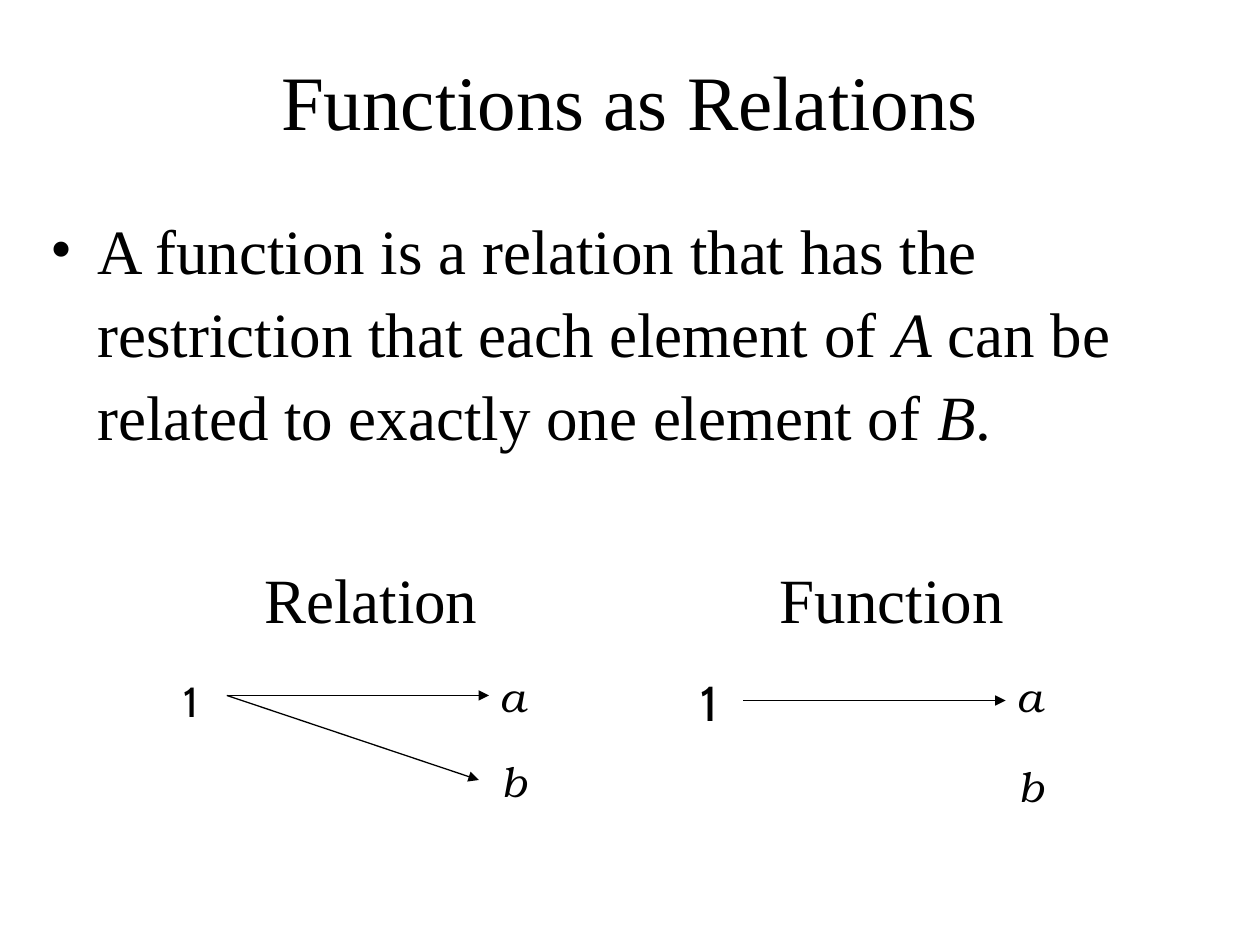
from dataclasses import dataclass

from lxml.etree import SubElement
from pptx import Presentation
from pptx.dml.color import RGBColor
from pptx.enum.shapes import MSO_CONNECTOR as Connector
from pptx.enum.text import MSO_ANCHOR as Anchor, MSO_AUTO_SIZE as AutoSize, PP_ALIGN as Align
from pptx.oxml.ns import qn
from pptx.slide import Slide
from pptx.text.text import _Paragraph as Paragraph
from pptx.util import Pt

BLACK = RGBColor(0x00, 0x00, 0x00)
WHITE = RGBColor(0xFF, 0xFF, 0xFF)
SERIF = "Times New Roman"
DIGIT_FONT = "Cabin"
LETTER_FONT = "TeX Gyre Bonum"


@dataclass
class Label:
    text: str
    left: float
    top: float
    width: float
    height: float
    size: float = 24
    font: str = LETTER_FONT
    italic: bool = False


@dataclass
class Arrow:
    x1: float
    y1: float
    x2: float
    y2: float


@dataclass
class Mapping:
    labels: list[Label]
    arrows: list[Arrow]


MAPPINGS = [
    Mapping(
        [
            Label("Relation", 144, 317, 139, 50.4, 36, SERIF),
            Label("1", 97.9, 382.3, 28.1, 36, 24, DIGIT_FONT),
            Label("a", 278.6, 379.4, 28.8, 36, italic=True),
            Label("b", 279.4, 428, 28.8, 36, italic=True),
        ],
        [Arrow(129.6, 397.4, 279.4, 397.4), Arrow(129.6, 397.4, 273.6, 445.7)],
    ),
    Mapping(
        [
            Label("Function", 438.5, 317, 145, 50.4, 36, SERIF),
            Label("1", 393.1, 380.9, 30.2, 41, 28, DIGIT_FONT),
            Label("a", 573.8, 379.4, 28.8, 36, italic=True),
            Label("b", 574.8, 431, 28.8, 36, italic=True),
        ],
        [Arrow(424.8, 400.3, 574.6, 400.3)],
    ),
]

STATEMENT = [
    ("A function is a relation that has the restriction that each element of ", False),
    ("A", True),
    (" can be related to exactly one element of ", False),
    ("B", True),
    (".", False),
]


def set_font(paragraph: Paragraph, name: str, size: float) -> None:
    paragraph.font.name = name
    paragraph.font.size = Pt(size)
    paragraph.font.color.rgb = BLACK


def add_title(slide: Slide, text: str) -> None:
    title = slide.shapes.title
    title.left, title.top, title.width, title.height = Pt(36), Pt(19), Pt(648), Pt(75.6)
    frame = title.text_frame
    frame.text = text
    frame.vertical_anchor = Anchor.MIDDLE
    frame.paragraphs[0].alignment = Align.CENTER
    set_font(frame.paragraphs[0], SERIF, 44)


def add_statement(slide: Slide) -> None:
    box = slide.shapes.add_textbox(Pt(21.6), Pt(113), Pt(680.4), Pt(369.4))
    box.text_frame.word_wrap = True
    paragraph = box.text_frame.paragraphs[0]
    paragraph.line_spacing = 1.1
    paragraph.space_before = Pt(9)
    set_font(paragraph, SERIF, 36)
    for text, italic in STATEMENT:
        run = paragraph.add_run()
        run.text = text
        run.font.italic = italic

    # Hanging bullet, which must precede the default run properties
    properties = paragraph._p.get_or_add_pPr()
    properties.set("marL", str(Pt(27)))
    properties.set("indent", str(Pt(-27)))
    bullet_font = SubElement(properties, qn("a:buFont"), typeface=SERIF)
    bullet = SubElement(properties, qn("a:buChar"), char="•")
    for element in (bullet_font, bullet):
        properties.find(qn("a:defRPr")).addprevious(element)


def add_label(slide: Slide, label: Label) -> None:
    box = slide.shapes.add_textbox(
        Pt(label.left), Pt(label.top), Pt(label.width), Pt(label.height)
    )
    frame = box.text_frame
    frame.text = label.text
    frame.word_wrap = False
    frame.auto_size = AutoSize.SHAPE_TO_FIT_TEXT
    set_font(frame.paragraphs[0], label.font, label.size)
    frame.paragraphs[0].font.italic = label.italic


def add_arrow(slide: Slide, arrow: Arrow) -> None:
    connector = slide.shapes.add_connector(
        Connector.STRAIGHT, Pt(arrow.x1), Pt(arrow.y1), Pt(arrow.x2), Pt(arrow.y2)
    )
    connector.line.color.rgb = BLACK
    connector.line.width = Pt(0.75)
    SubElement(connector.line._get_or_add_ln(), qn("a:tailEnd"), type="triangle")
    SubElement(connector._element.spPr, qn("a:effectLst"))


def main() -> None:
    presentation = Presentation()
    presentation.slide_width, presentation.slide_height = Pt(720), Pt(540)
    slide = presentation.slides.add_slide(presentation.slide_layouts[5])
    slide.background.fill.solid()
    slide.background.fill.fore_color.rgb = WHITE

    # Title and statement
    add_title(slide, "Functions as Relations")
    add_statement(slide)

    # Relation and function diagrams
    for mapping in MAPPINGS:
        for label in mapping.labels:
            add_label(slide, label)
        for arrow in mapping.arrows:
            add_arrow(slide, arrow)

    presentation.save("out.pptx")


if __name__ == "__main__":
    main()
